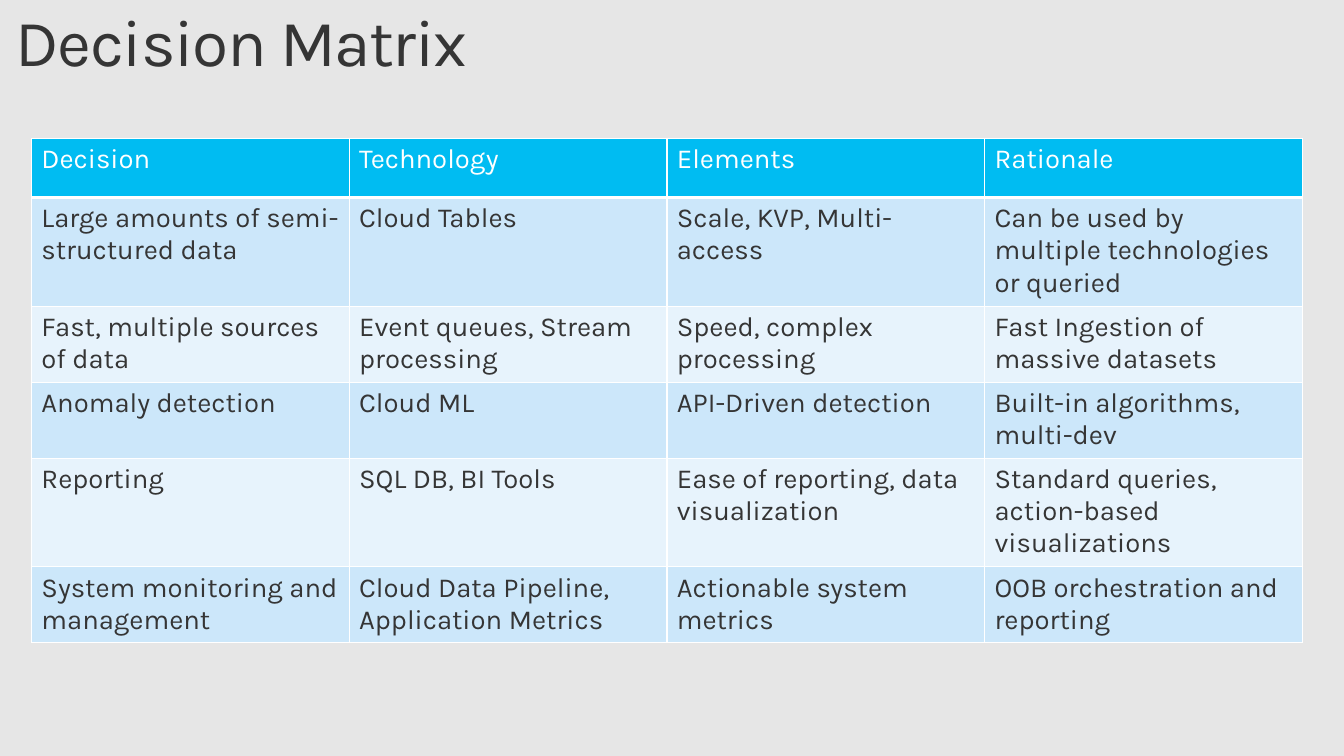
from dataclasses import dataclass

from lxml.etree import SubElement
from pptx import Presentation
from pptx.dml.color import RGBColor
from pptx.enum.text import MSO_ANCHOR
from pptx.oxml.ns import qn
from pptx.util import Pt


@dataclass(frozen=True)
class Theme:
    font: str = "Karla"
    back: str = "E6E6E6"
    ink: str = "353535"
    white: str = "FFFFFF"
    head: str = "00BCF2"
    bands: tuple = ("CCE7FA", "E7F3FC")
    title: int = 48
    body: int = 20


THEME = Theme()
ROWS = [
    ("Decision", "Technology", "Elements", "Rationale"),
    ("Large amounts of semi-structured data", "Cloud Tables",
     "Scale, KVP, Multi-access", "Can be used by multiple technologies or queried"),
    ("Fast, multiple sources of data", "Event queues, Stream processing",
     "Speed, complex processing", "Fast Ingestion of massive datasets"),
    ("Anomaly detection", "Cloud ML", "API-Driven detection",
     "Built-in algorithms, multi-dev"),
    ("Reporting", "SQL DB, BI Tools", "Ease of reporting, data visualization",
     "Standard queries, action-based visualizations"),
    ("System monitoring and management", "Cloud Data Pipeline, Application Metrics",
     "Actionable system metrics", "OOB orchestration and reporting"),
]
HEIGHTS = [43.2, 74.9] + [43.2] * 4
WIDTH = 231.5


def paint(fill, color):
    fill.solid()
    fill.fore_color.rgb = RGBColor.from_string(color)


def style(para, size, color):
    for run in para.runs:
        run.font.name = THEME.font
        run.font.size = Pt(size)
        run.font.color.rgb = RGBColor.from_string(color)


def add_title(slide, text):
    box = slide.shapes.add_textbox(Pt(0), Pt(0), Pt(979.2), Pt(61.2))
    frame = box.text_frame
    frame.word_wrap = True
    frame.vertical_anchor = MSO_ANCHOR.TOP
    frame.margin_left = frame.margin_right = Pt(11.5)
    frame.margin_top = frame.margin_bottom = Pt(7.2)
    frame.text = text
    para = frame.paragraphs[0]
    para.line_spacing = 0.9
    style(para, THEME.title, THEME.ink)
    para.runs[0].font._element.set("spc", "-100")


def add_edges(cell, base):
    props = cell._tc.get_or_add_tcPr()
    for side, width in (("L", 1), ("R", 1), ("T", 1), ("B", base)):
        line = SubElement(props, qn(f"a:ln{side}"), w=str(Pt(width)))
        fill = SubElement(line, qn("a:solidFill"))
        SubElement(fill, qn("a:srgbClr"), val=THEME.white)


def fill_cell(cell, text, back, ink, base):
    add_edges(cell, base)
    paint(cell.fill, back)
    cell.text_frame.text = text
    style(cell.text_frame.paragraphs[0], THEME.body, ink)


def add_matrix(slide, rows):
    count = len(rows[0])
    frame = slide.shapes.add_table(
        len(rows), count, Pt(23), Pt(100.8), Pt(WIDTH * count), Pt(sum(HEIGHTS)))
    table = frame.table
    for col in table.columns:
        col.width = Pt(WIDTH)
    for i, row in enumerate(rows):
        table.rows[i].height = Pt(HEIGHTS[i])
        if i == 0:
            look = THEME.head, THEME.white, 3
        else:
            look = THEME.bands[(i - 1) % 2], THEME.ink, 1
        for j, text in enumerate(row):
            fill_cell(table.cell(i, j), text, *look)


def main():
    deck = Presentation()
    deck.slide_width, deck.slide_height = Pt(979.2), Pt(550.8)
    slide = deck.slides.add_slide(deck.slide_layouts[6])
    paint(slide.background.fill, THEME.back)
    add_title(slide, "Decision Matrix")
    add_matrix(slide, ROWS)
    deck.save("out.pptx")


if __name__ == "__main__":
    main()
